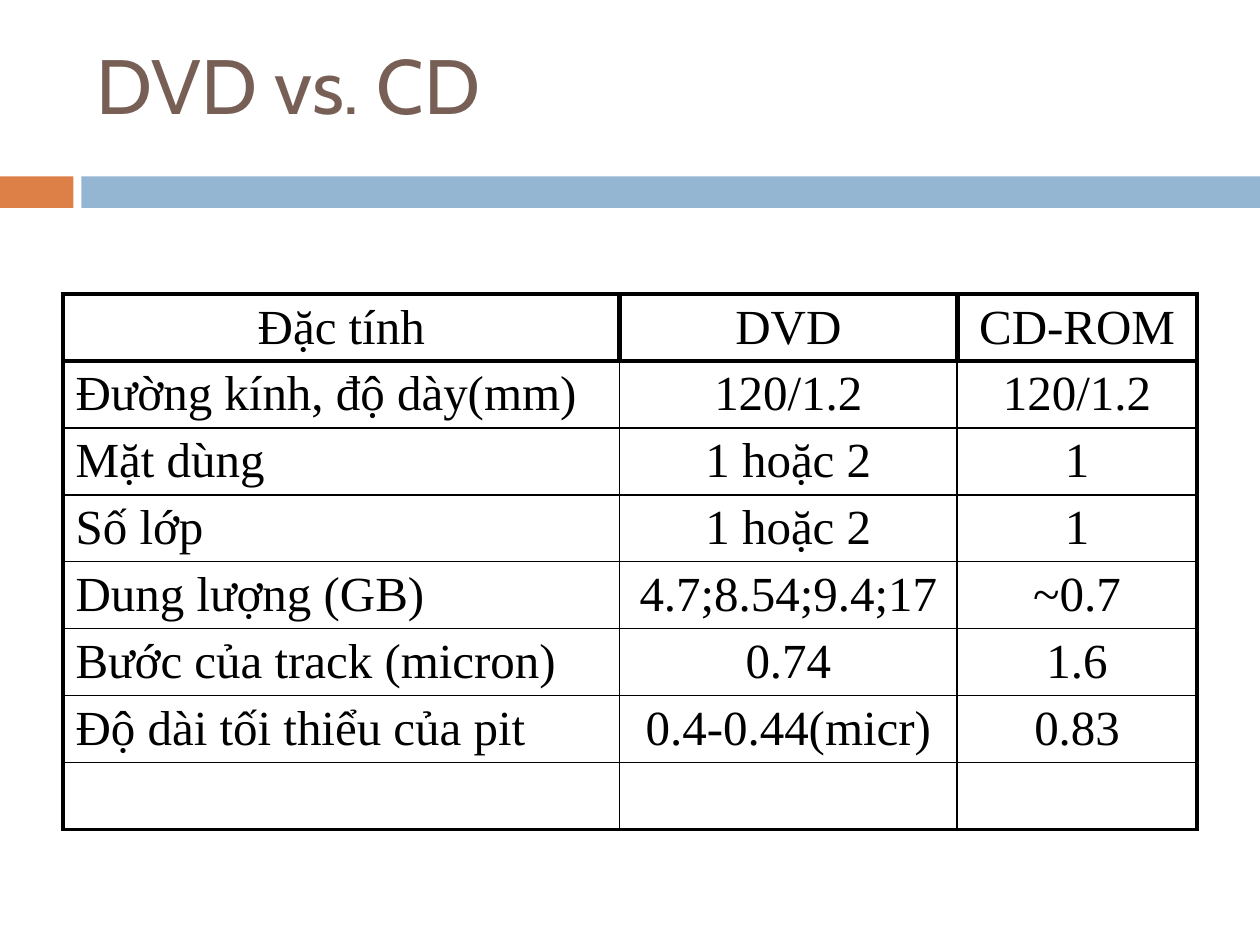
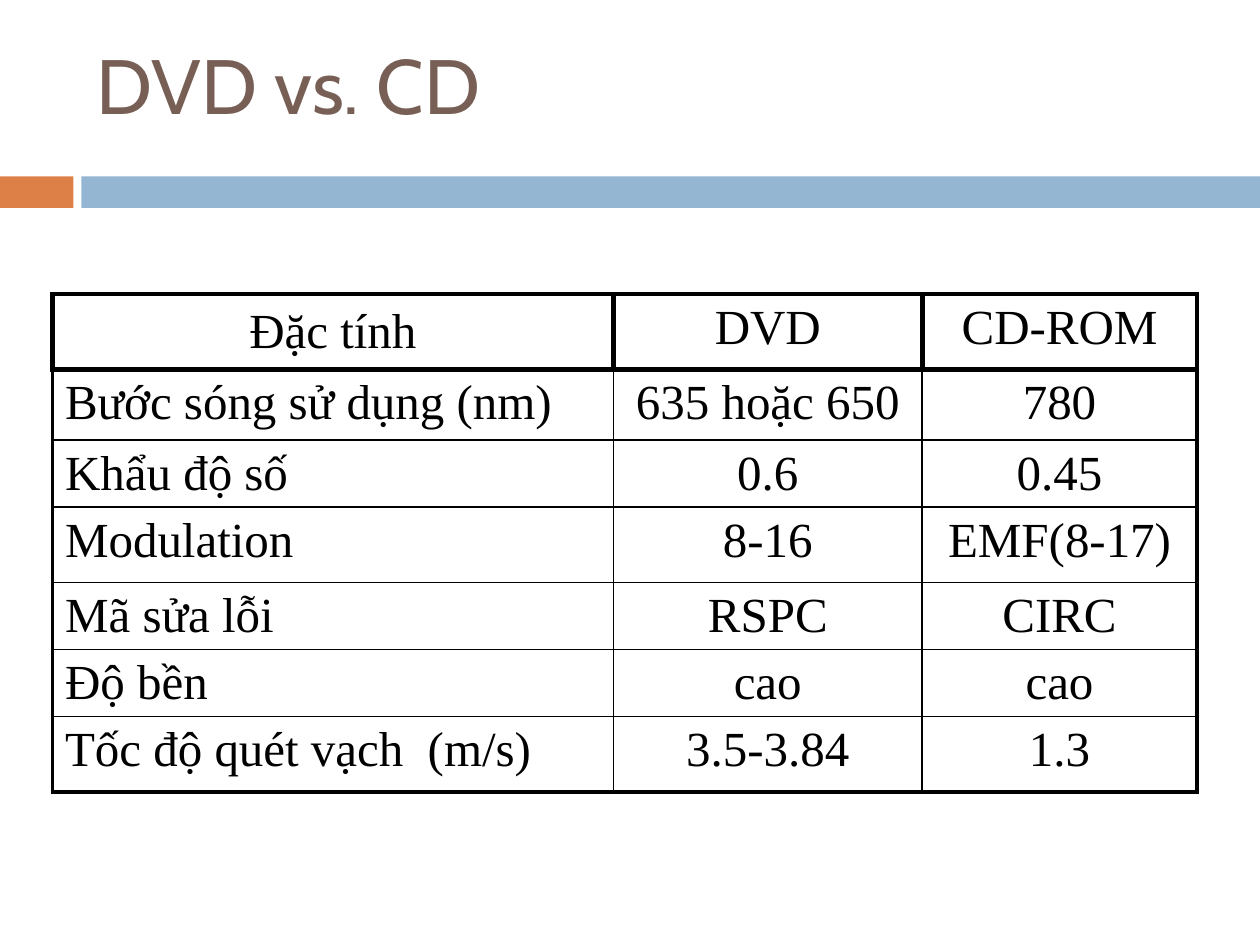
from lxml.etree import SubElement
from pptx import Presentation
from pptx.dml.color import RGBColor
from pptx.enum.shapes import MSO_SHAPE as Shape
from pptx.enum.text import MSO_ANCHOR as Anchor, MSO_AUTO_SIZE as AutoSize, PP_ALIGN as Align
from pptx.oxml.ns import qn
from pptx.util import Pt

WIDTH, HEIGHT = 720, 540
TITLE_ONLY = 5
ORANGE, BLUE, BROWN, BLACK = "DD8047", "94B6D2", "775F55", "000000"
TITLE_FONT, TABLE_FONT = "Cabin", "Times New Roman"
HEADER_LINE, OUTER_LINE, INNER_LINE = 3, 2.25, 1


def color(value):
    return RGBColor.from_string(value)


def write(frame, text, *, font, size, fill, align=Align.LEFT):
    paragraph = frame.paragraphs[0]
    paragraph.alignment = align
    run = paragraph.add_run()
    run.text = text
    run.font.name = font
    run.font.size = Pt(size)
    run.font.color.rgb = color(fill)


def add_border(cell, side, width):
    """Draw one border; side is L, R, T or B, and calls must keep that order."""
    line = SubElement(cell._tc.get_or_add_tcPr(), qn(f"a:ln{side}"), w=str(Pt(width)))
    solid = SubElement(line, qn("a:solidFill"))
    SubElement(solid, qn("a:srgbClr"), val=BLACK)


class Deck:
    def __init__(self):
        self.presentation = Presentation()
        self.presentation.slide_width = Pt(WIDTH)
        self.presentation.slide_height = Pt(HEIGHT)
        self.slide = None

    def add_slide(self, heading):
        layout = self.presentation.slide_layouts[TITLE_ONLY]
        self.slide = self.presentation.slides.add_slide(layout)
        self.band(0, 42, ORANGE)
        self.band(46.5, WIDTH - 46.5, BLUE)
        self.title(heading)

    def band(self, left, width, fill):
        band = self.slide.shapes.add_shape(
            Shape.RECTANGLE, Pt(left), Pt(100.8), Pt(width), Pt(18))
        band.shadow.inherit = False
        band.fill.solid()
        band.fill.fore_color.rgb = color(fill)
        band.line.fill.background()

    def title(self, heading):
        title = self.slide.shapes.title
        title.left, title.top, title.width, title.height = Pt(48), Pt(18), Pt(642), Pt(78)
        frame = title.text_frame
        frame.word_wrap = True
        frame.auto_size = AutoSize.NONE
        frame.vertical_anchor = Anchor.TOP
        write(frame, heading, font=TITLE_FONT, size=44, fill=BROWN)

    def comparison(self, left, column_widths, row_heights, rows):
        table = self.slide.shapes.add_table(
            len(rows), len(column_widths), Pt(left), Pt(168),
            Pt(sum(column_widths)), Pt(sum(row_heights))).table
        table.first_row = table.horz_banding = False
        for column, width in zip(table.columns, column_widths):
            column.width = Pt(width)
        for row, height in zip(table.rows, row_heights):
            row.height = Pt(height)

        last_row, last_column = len(rows) - 1, len(column_widths) - 1
        for r, values in enumerate(rows):
            for c, value in enumerate(values):
                cell = table.cell(r, c)
                self.cell_borders(cell, r, c, last_row, last_column)
                cell.fill.background()
                if value:
                    align = Align.LEFT if r and c == 0 else Align.CENTER
                    write(cell.text_frame, value, font=TABLE_FONT, size=28,
                          fill=BLACK, align=align)
        table.cell(0, 0).vertical_anchor = Anchor.MIDDLE

    def cell_borders(self, cell, r, c, last_row, last_column):
        """Thick lines around header cells, medium at the outside, thin within."""
        outside = {"L": c == 0, "R": c == last_column, "T": False, "B": r == last_row}
        for side, is_outer in outside.items():
            if r == 0 or (r == 1 and side == "T"):
                width = HEADER_LINE
            else:
                width = OUTER_LINE if is_outer else INNER_LINE
            add_border(cell, side, width)


def main():
    deck = Deck()
    heading = "DVD vs. CD"
    header = ("Đặc tính", "DVD", "CD-ROM")
    low, middle, high = 38.25, 40.3, 43.2

    physical = [
        header,
        ("Đường kính, độ dày(mm)", "120/1.2", "120/1.2"),
        ("Mặt dùng", "1 hoặc 2", "1"),
        ("Số lớp", "1 hoặc 2", "1"),
        ("Dung lượng (GB)", "4.7;8.54;9.4;17", "~0.7"),
        ("Bước của track (micron)", "0.74", "1.6"),
        ("Độ dài tối thiểu của pit", "0.4-0.44(micr)", "0.83"),
        ("", "", ""),
    ]
    deck.add_slide(heading)
    deck.comparison(36, (318, 193, 137), [low] * len(physical), physical)

    optical = [
        header,
        ("Bước sóng sử dụng (nm)", "635 hoặc 650", "780"),
        ("Khẩu độ số", "0.6", "0.45"),
        ("Modulation", "8-16", "EMF(8-17)"),
        ("Mã sửa lỗi", "RSPC", "CIRC"),
        ("Độ bền", "cao", "cao"),
        ("Tốc độ quét vạch  (m/s)", "3.5-3.84", "1.3"),
    ]
    deck.add_slide(heading)
    deck.comparison(30, (320.5, 176.5, 157), (high, middle, low, high, low, low, high), optical)

    deck.presentation.save("out.pptx")


if __name__ == "__main__":
    main()
